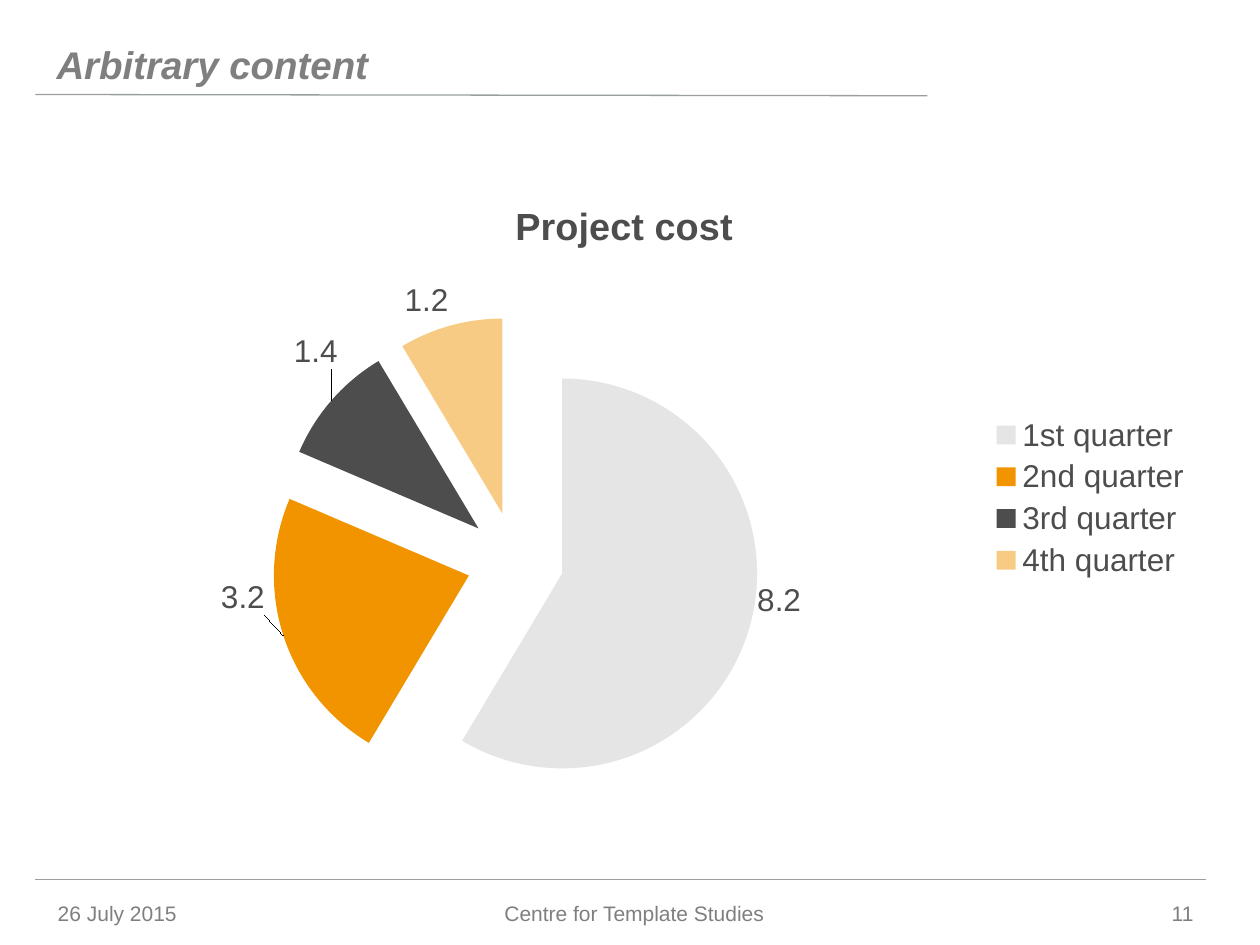
"""Build a slide with an exploded pie chart of project cost by quarter."""
from lxml.etree import SubElement
from pptx import Presentation
from pptx.chart.data import CategoryChartData
from pptx.dml.color import RGBColor
from pptx.enum.chart import XL_CHART_TYPE as CT, XL_LABEL_POSITION as LP, XL_LEGEND_POSITION as LG
from pptx.enum.shapes import MSO_CONNECTOR as MC
from pptx.enum.text import MSO_ANCHOR as VA, PP_ALIGN as AL
from pptx.oxml import parse_xml
from pptx.oxml.ns import nsdecls, qn
from pptx.util import Inches, Pt

THEME = dict(font="Arial", grey="7F7F7F", rule="999F9E", ink="4D4D4D",
             title=22, footer=12, chart=18, chart_title=21.6)
W, H = 10, 7.5
LEFT, FOOT_Y, FOOT_H = 0.28, 7.05, 0.39
HEADING = "Arbitrary content"
CHART_TITLE = "Project cost"
QUARTERS = [
    ("1st quarter", 8.2, "E5E5E5", 100, (0, -0.07)),
    ("2nd quarter", 3.2, "F29400", 100, (-0.01, -0.09)),
    ("3rd quarter", 1.4, "4D4D4D", 100, (0.01, -0.04)),
    ("4th quarter", 1.2, "F29400", 48, None),
]
FOOTER = [
    ("26 July 2015", 0.36, 1.18, AL.LEFT),
    ("Centre for Template Studies", 1.61, 6.85, AL.CENTER),
    ("11", 8.98, 0.59, AL.RIGHT),
]
RULES = [(0.75, 7.36, 0.76), (6.98, 9.57, 6.98)]
PLOT = dict(x=0.196, y=0.219, w=0.42, h=0.757)


def rgb(name):
    return RGBColor.from_string(THEME.get(name, name))


def set_font(font, size, color, bold=False, italic=False):
    font.name, font.size = THEME["font"], Pt(THEME[size])
    font.bold, font.italic = bold, italic
    font.color.rgb = rgb(color)


def add_text(s, text, box, size, align=AL.LEFT, anchor=VA.MIDDLE, **style):
    tf = s.shapes.add_textbox(*map(Inches, box)).text_frame
    tf.word_wrap, tf.vertical_anchor = True, anchor
    p = tf.paragraphs[0]
    p.text, p.alignment = text, align
    set_font(p.font, size, "grey", **style)


def add_rule(s, y1, x2, y2):
    line = s.shapes.add_connector(MC.STRAIGHT, *map(Inches, (LEFT, y1, x2, y2)))
    line.line.color.rgb, line.line.width = rgb("rule"), Pt(0.75)
    SubElement(line.element.spPr, qn("a:effectLst"))


def layout(inner=False, **parts):
    tags = '<c:layoutTarget val="inner"/>' if inner else ""
    if inner:
        tags += '<c:xMode val="edge"/><c:yMode val="edge"/>'
    tags += "".join(f'<c:{k} val="{v}"/>' for k, v in parts.items())
    return parse_xml(f'<c:layout {nsdecls("c")}><c:manualLayout>{tags}</c:manualLayout></c:layout>')


def add_pie(s, box):
    data = CategoryChartData()
    data.categories = [q[0] for q in QUARTERS]
    data.add_series(CHART_TITLE, [q[1] for q in QUARTERS])
    chart = s.shapes.add_chart(CT.PIE_EXPLODED, *map(Inches, box), data).chart
    set_font(chart.font, "chart", "ink")
    chart.has_title = True
    p = chart.chart_title.text_frame.paragraphs[0]
    p.text = CHART_TITLE
    set_font(p.font, "chart_title", "ink", bold=True)
    chart.has_legend = True
    chart.legend.position, chart.legend.include_in_layout = LG.RIGHT, False

    area = chart.element.find(".//" + qn("c:plotArea"))
    for old in area.findall(qn("c:layout")):
        area.remove(old)
    area.insert(0, layout(inner=True, **PLOT))

    series = chart.plots[0].series[0]
    for old in series._element.findall(qn("c:explosion")):
        old.set("val", "25")
    for i, (_, _, color, alpha, _) in enumerate(QUARTERS):
        point = series.points[i]
        fill = point.format.fill
        fill.solid()
        fill.fore_color.rgb = rgb(color)
        point.format.line.fill.background()
        point.data_label.position = LP.OUTSIDE_END
        set_font(point.data_label.font, "chart", "ink")
        if alpha < 100:
            clr = point.format.fill._xPr.find(".//" + qn("a:srgbClr"))
            SubElement(clr, qn("a:alpha"), val=str(alpha * 1000))
    for label, quarter in zip(chart.element.iter(qn("c:dLbl")), QUARTERS):
        if quarter[4]:
            label.insert(1, layout(x=quarter[4][0], y=quarter[4][1]))


def main():
    prs = Presentation()
    prs.slide_width, prs.slide_height = Inches(W), Inches(H)
    s = prs.slides.add_slide(prs.slide_layouts[6])
    for rule in RULES:
        add_rule(s, *rule)
    add_text(s, HEADING, (0.35, 0.19, 7.08, 0.55), "title", anchor=VA.BOTTOM, bold=True, italic=True)
    for text, x, w, align in FOOTER:
        add_text(s, text, (x, FOOT_Y, w, FOOT_H), "footer", align)
    add_pie(s, (0.35, 1.39, 9.21, 5.12))
    prs.save("out.pptx")


if __name__ == "__main__":
    main()
